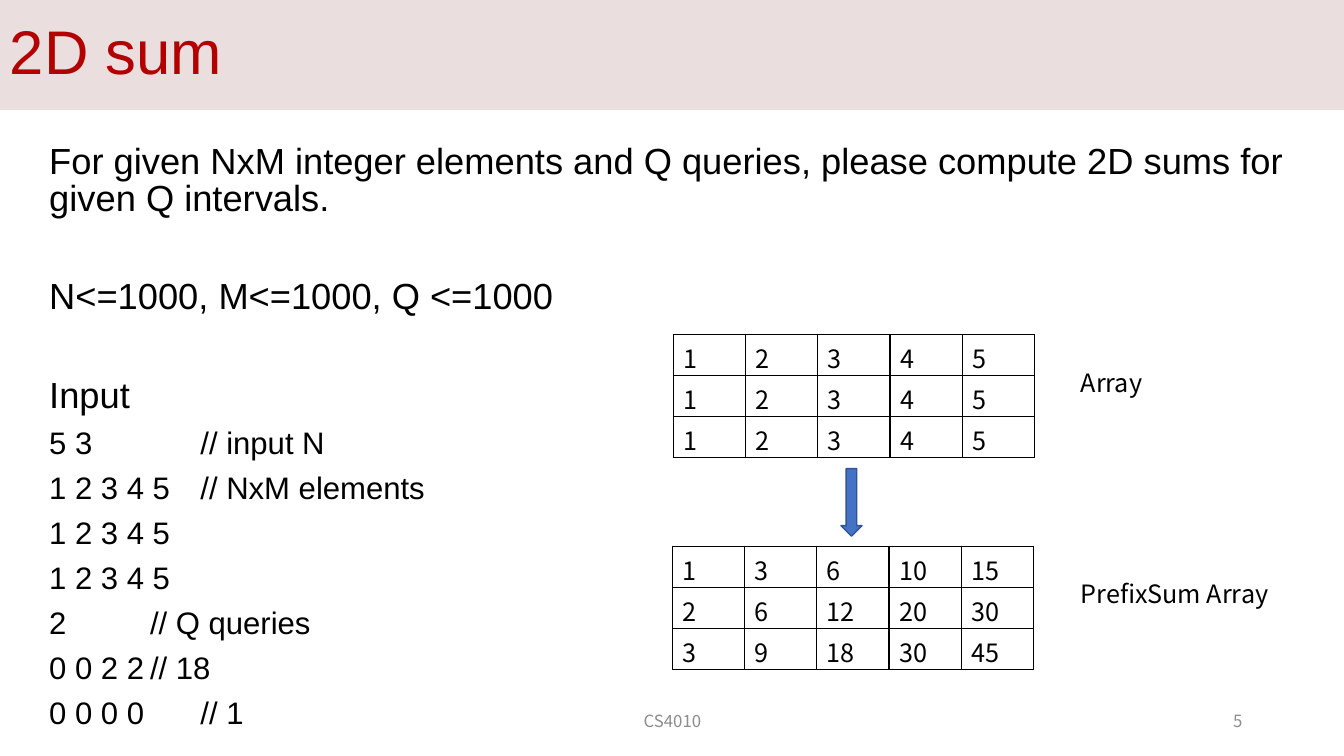
from itertools import accumulate

from lxml import etree
from pptx import Presentation
from pptx import util as u
from pptx.dml import color
from pptx.enum import shapes, text
from pptx.oxml import ns

COLORS = {
    "band": "8C3C3C", "title": "B30000", "ink": "000000",
    "footer": "8C8C8C", "arrow": "4472C4", "arrow_edge": "325491",
}
ARIAL, NOTO = "Arial", "Noto Sans CJK KR"
BODY_SIZE, SAMPLE_SIZE = 25.9, 22.2
GAP, WIDE_GAP = 10, 44.7

STATEMENT = [
    ("For given NxM integer elements and Q queries, please compute 2D sums "
     "for given Q intervals.", GAP),
    ("N<=1000, M<=1000, Q <=1000", WIDE_GAP),
    ("Input", WIDE_GAP),
]
SAMPLE = [
    "5 3 \t\t// input N", "1 2 3 4 5\t// NxM elements", "1 2 3 4 5", "1 2 3 4 5",
    "2\t\t// Q queries", "0 0 2 2\t// 18", "0 0 0 0 \t// 1",
]
ARRAY = [[1, 2, 3, 4, 5]] * 3


def rgb(name):
    return color.RGBColor.from_string(COLORS[name])


def write(para, words, size=18, font=NOTO, ink="ink", align=None,
          line_spacing=None, before=None):
    """Put one formatted span of text in a paragraph."""
    para.alignment = align
    para.line_spacing = line_spacing
    para.space_before = None if before is None else u.Pt(before)
    span = para.add_run()
    span.text = words
    span.font.size = u.Pt(size)
    span.font.name = font
    span.font.color.rgb = rgb(ink)


def inches(box):
    return [u.Inches(value) for value in box]


def add_text_frame(page, box, anchor=text.MSO_ANCHOR.TOP):
    frame = page.shapes.add_textbox(*inches(box)).text_frame
    frame.word_wrap = True
    frame.vertical_anchor = anchor
    return frame


def add_title(page, box):
    band = page.shapes.add_shape(shapes.MSO_SHAPE.RECTANGLE, *inches(box))
    band.shadow.inherit = False
    band.line.fill.background()
    band.fill.solid()
    band.fill.fore_color.rgb = rgb("band")
    tint = band.fill._xPr.find(".//" + ns.qn("a:srgbClr"))
    etree.SubElement(tint, ns.qn("a:alpha"), val="17000")
    band.text_frame.word_wrap = True
    band.text_frame.vertical_anchor = text.MSO_ANCHOR.MIDDLE
    write(band.text_frame.paragraphs[0], "2D sum", size=44, font=ARIAL,
          ink="title", align=text.PP_ALIGN.LEFT, line_spacing=0.9)


def add_body(page, box):
    frame = add_text_frame(page, box)
    lines = [(words, BODY_SIZE, before) for words, before in STATEMENT]
    lines += [(words, SAMPLE_SIZE, GAP) for words in SAMPLE]
    for index, (words, size, before) in enumerate(lines):
        para = frame.add_paragraph() if index else frame.paragraphs[0]
        write(para, words, size=size, font=ARIAL, line_spacing=0.83,
              before=before)


def add_label(page, box, words, **formatting):
    frame = add_text_frame(page, box, text.MSO_ANCHOR.MIDDLE)
    write(frame.paragraphs[0], words, **formatting)


def outline(cell):
    """Draw a thin line on all four sides of a cell."""
    properties = cell._tc.get_or_add_tcPr()
    for index, side in enumerate(("lnL", "lnR", "lnT", "lnB")):
        line = etree.Element(ns.qn("a:" + side), w=str(u.Pt(1)))
        fill = etree.SubElement(line, ns.qn("a:solidFill"))
        etree.SubElement(fill, ns.qn("a:srgbClr"), val=COLORS["ink"])
        properties.insert(index, line)


def add_grid(page, box, values):
    rows, columns = len(values), len(values[0])
    table = page.shapes.add_table(rows, columns, *inches(box)).table
    table.first_row = table.horz_banding = False
    for row, numbers in enumerate(values):
        for column, number in enumerate(numbers):
            cell = table.cell(row, column)
            cell.fill.background()
            outline(cell)
            write(cell.text_frame.paragraphs[0], str(number))


def add_arrow(page, box):
    arrow = page.shapes.add_shape(shapes.MSO_SHAPE.DOWN_ARROW, *inches(box))
    arrow.shadow.inherit = False
    arrow.fill.solid()
    arrow.fill.fore_color.rgb = rgb("arrow")
    arrow.line.color.rgb = rgb("arrow_edge")
    arrow.line.width = u.Pt(1)


def add_example(page, box):
    """The array, its prefix sums below it, and their labels."""
    left, top, width, height = box
    row_sums = [list(accumulate(row)) for row in ARRAY]
    prefix_sums = list(accumulate(
        row_sums, lambda above, row: [a + b for a, b in zip(above, row)]))
    step = 2.1
    add_grid(page, (left, top, width, height), ARRAY)
    add_grid(page, (left - 0.01, top + step, width, height), prefix_sums)
    add_arrow(page, (left + 1.66, top + 1.33, 0.21, 0.67))
    for index, (words, label_width) in enumerate(
            [("Array", 1.31), ("PrefixSum Array", 2.17)]):
        add_label(page, (left + 3.94, top + 0.27 + index * step,
                         label_width, 0.4), words)


def add_footer(page, top, height):
    small = {"size": 12, "ink": "footer"}
    add_label(page, (4.42, top, 4.5, height), "CS4010",
              align=text.PP_ALIGN.CENTER, **small)
    add_label(page, (9.42, top, 3, height), "5",
              align=text.PP_ALIGN.RIGHT, **small)


def main():
    deck = Presentation()
    deck.slide_width, deck.slide_height = u.Inches(13.33), u.Inches(7.5)
    page = deck.slides.add_slide(deck.slide_layouts[6])
    add_title(page, (0, 0, 13.33, 1.09))
    add_body(page, (0.39, 1.4, 12.56, 5.85))
    add_footer(page, 6.95, 0.4)
    add_example(page, (6.68, 3.32, 3.58, 1.22))
    deck.save("out.pptx")


if __name__ == "__main__":
    main()
